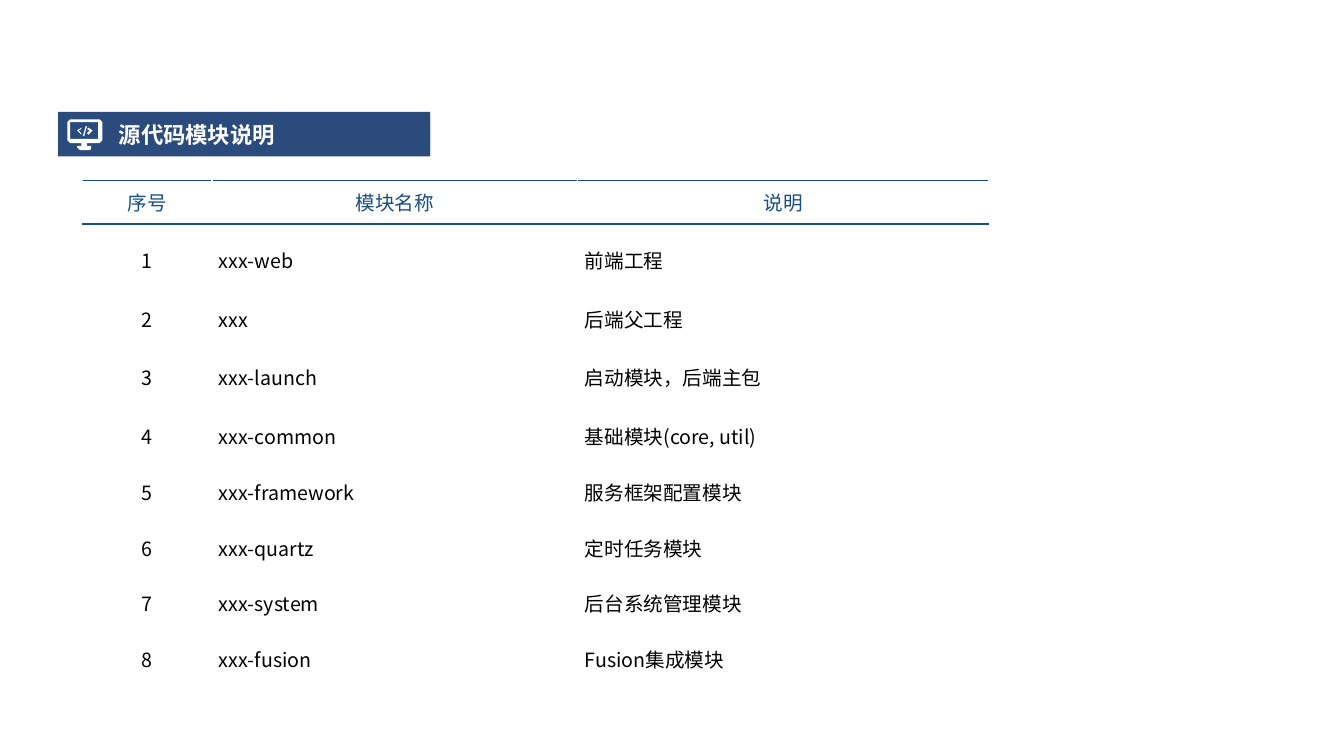
from lxml import etree
from pptx import Presentation
from pptx.dml.color import RGBColor
from pptx.enum import shapes, text
from pptx.oxml import ns
from pptx.util import Pt

FONT = "Noto Sans CJK SC"
COLORS = {"bar": "2A4B7C", "header": "194D85", "body": "000000", "white": "FFFFFF"}
HEADERS = ["序号", "模块名称", "说明"]
MODULES = [
    ("xxx-web", "前端工程"),
    ("xxx", "后端父工程"),
    ("xxx-launch", "启动模块，后端主包"),
    ("xxx-common", "基础模块(core, util)"),
    ("xxx-framework", "服务框架配置模块"),
    ("xxx-quartz", "定时任务模块"),
    ("xxx-system", "后台系统管理模块"),
    ("xxx-fusion", "Fusion集成模块"),
]
COLUMN_WIDTHS = [92.2, 261.4, 293.2]
ROW_HEIGHTS = [31.2] + [41.7] * 4 + [39.6] * 4

# Monitor icon outlines, in points from its top left corner
ICON_OUTLINES = [
    [(2, 0), (22.6, 0), (24, 0.6), (24.6, 2), (24.6, 14.6), (24, 16), (22.6, 16.6),
     (14.4, 16.6), (14.4, 18.8), (16, 18.8), (17.2, 19.4), (17.4, 20.2), (17, 21),
     (16, 21.6), (8.6, 21.6), (7.6, 21), (7.2, 20.2), (7.4, 19.4), (8.6, 18.8),
     (10.2, 18.8), (10.2, 16.6), (2, 16.6), (0.6, 16), (0, 14.6), (0, 2), (0.6, 0.6)],
    [(2.2, 2.4), (2.2, 14.2), (22.4, 14.2), (22.4, 2.4)],
    [(9.8, 6.1), (10.4, 6.9), (8.5, 8.4), (10.4, 9.9), (9.8, 10.7), (7, 8.4)],
    [(14.8, 6.1), (14.2, 6.9), (16.1, 8.4), (14.2, 9.9), (14.8, 10.7), (17.6, 8.4)],
    [(12.8, 4.6), (13.7, 4.9), (11.7, 12.1), (10.8, 11.8)],
]


def paint(shape, color):
    shape.fill.solid()
    shape.fill.fore_color.rgb = RGBColor.from_string(COLORS[color])
    shape.line.fill.background()
    shape.shadow.inherit = False


def set_font(paragraph, size, color, bold=False):
    font = paragraph.font
    font.name, font.size, font.bold = FONT, Pt(size), bold
    font.color.rgb = RGBColor.from_string(COLORS[color])
    properties = paragraph._p.pPr.find(ns.qn("a:defRPr"))
    etree.SubElement(properties, ns.qn("a:ea"), typeface=FONT)


def add_bar(slide):
    bar = slide.shapes.add_shape(
        shapes.MSO_SHAPE.RECTANGLE, Pt(41.6), Pt(80), Pt(265.6), Pt(31.8))
    paint(bar, "bar")


def place_title(slide, words):
    title = slide.shapes.title
    title.left, title.top, title.width, title.height = Pt(77.6), Pt(82.8), Pt(229.6), Pt(26.6)
    paint(title, "bar")
    frame = title.text_frame
    frame.text = words
    frame.auto_size = text.MSO_AUTO_SIZE.NONE
    frame.vertical_anchor = text.MSO_ANCHOR.MIDDLE
    paragraph = frame.paragraphs[0]
    paragraph.alignment = text.PP_ALIGN.LEFT
    set_font(paragraph, 16, "white", bold=True)
    # Bring the title in front of the bar
    slide.shapes._spTree.append(title._element)


def add_icon(slide, left, top):
    first, *others = ICON_OUTLINES
    builder = slide.shapes.build_freeform(*first[0], scale=Pt(1))
    builder.add_line_segments(first[1:])
    for outline in others:
        builder.move_to(*outline[0])
        builder.add_line_segments(outline[1:])
    paint(builder.convert_to_shape(Pt(left), Pt(top)), "white")


def set_borders(cell, top, bottom):
    sides = {"L": "white", "R": "white", "T": top, "B": bottom}
    for side, color in sides.items():
        line = etree.SubElement(
            cell._tc.get_or_add_tcPr(), ns.qn(f"a:ln{side}"), w=str(Pt(1)))
        fill = etree.SubElement(line, ns.qn("a:solidFill"))
        etree.SubElement(fill, ns.qn("a:srgbClr"), val=COLORS[color])


def fill_cell(cell, words, row, column):
    cell.text = words
    cell.vertical_anchor = text.MSO_ANCHOR.MIDDLE
    set_borders(cell, "header" if row < 2 else "white", "header" if row == 0 else "white")
    cell.fill.solid()
    cell.fill.fore_color.rgb = RGBColor.from_string(COLORS["white"])
    paragraph = cell.text_frame.paragraphs[0]
    centred = row == 0 or column == 0
    paragraph.alignment = text.PP_ALIGN.CENTER if centred else text.PP_ALIGN.LEFT
    if row > 0:
        cell.margin_left = cell.margin_right = Pt(5)
        cell.margin_top = cell.margin_bottom = 0
        paragraph.line_spacing = 1.5
        paragraph.space_before = paragraph.space_after = Pt(3)
    set_font(paragraph, 14, "body" if row else "header")


def add_module_table(slide):
    rows = [HEADERS] + [(str(i), *module) for i, module in enumerate(MODULES, 1)]
    table = slide.shapes.add_table(
        len(rows), len(HEADERS), Pt(59.2), Pt(128.8),
        Pt(sum(COLUMN_WIDTHS)), Pt(sum(ROW_HEIGHTS))).table
    table.horz_banding = False
    for column, width in zip(table.columns, COLUMN_WIDTHS):
        column.width = Pt(width)
    for r, (row, height) in enumerate(zip(rows, ROW_HEIGHTS)):
        table.rows[r].height = Pt(height)
        for c, words in enumerate(row):
            fill_cell(table.cell(r, c), words, r, c)


def main():
    presentation = Presentation()
    presentation.slide_width, presentation.slide_height = Pt(960), Pt(540)
    slide = presentation.slides.add_slide(presentation.slide_layouts[5])

    # Heading strip
    add_bar(slide)
    place_title(slide, "源代码模块说明")

    # Module list
    add_module_table(slide)

    # Heading icon
    add_icon(slide, 48.2, 85.2)
    presentation.save("out.pptx")


if __name__ == "__main__":
    main()
